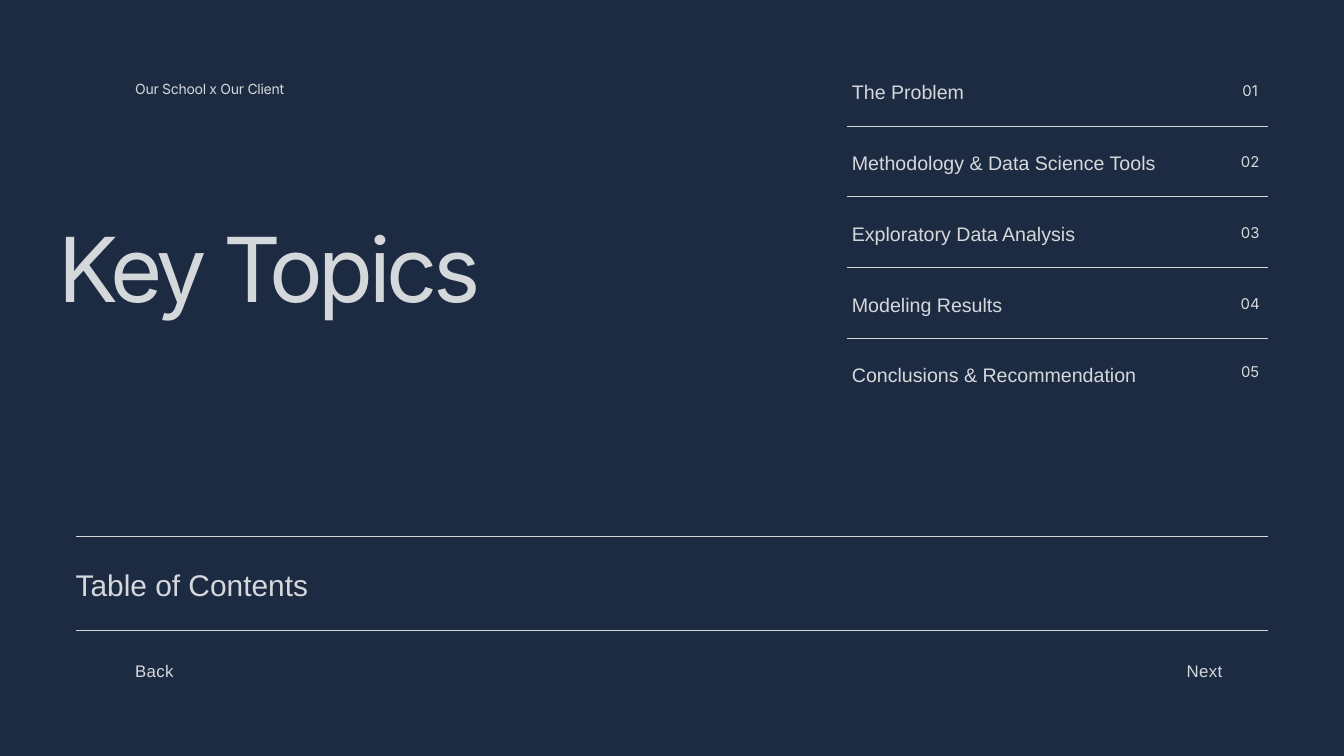
from lxml import etree
from pptx import Presentation
from pptx.dml.color import RGBColor
from pptx.enum import shapes, text
from pptx.oxml.ns import qn
from pptx.util import Cm, Pt

NAVY = RGBColor(0x1D, 0x2B, 0x42)
MIST = RGBColor(0xD5, 0xD8, 0xDB)
LEFT, CENTER, RIGHT = text.PP_ALIGN.LEFT, text.PP_ALIGN.CENTER, text.PP_ALIGN.RIGHT

TOPICS = ["The Problem", "Methodology & Data Science Tools",
          "Exploratory Data Analysis", "Modeling Results",
          "Conclusions & Recommendation"]
ROW_PITCH = 2.68


def place(sp, x, y, w, h):
    """Position a text shape in centimetres and clear its frame settings."""
    sp.left, sp.top, sp.width, sp.height = Cm(x), Cm(y), Cm(w), Cm(h)
    tf = sp.text_frame
    tf.word_wrap = True
    tf.auto_size = text.MSO_AUTO_SIZE.NONE
    tf.vertical_anchor = text.MSO_ANCHOR.TOP
    tf.margin_left = tf.margin_top = tf.margin_right = tf.margin_bottom = 0
    return tf


def write(p, words, size, leading, font="Arial", align=LEFT, tracking=0):
    p.alignment = align
    p.line_spacing = Pt(leading)
    p.space_before = Pt(0)
    r = p.add_run()
    r.text = words
    r.font.size, r.font.name = Pt(size), font
    r.font.color.rgb = MIST
    if tracking:
        r.font._element.set("spc", str(round(tracking * 100)))


def add_label(s, x, y, w, h, words, size, leading, **style):
    sp = s.shapes.add_textbox(0, 0, 0, 0)
    write(place(sp, x, y, w, h).paragraphs[0], words, size, leading, **style)


def add_rule(s, x, y, w):
    line = s.shapes.add_connector(shapes.MSO_CONNECTOR.STRAIGHT,
                                  Cm(x), Cm(y), Cm(x + w), Cm(y))
    line.line.color.rgb = MIST
    line.line.width = Pt(0.75)
    etree.SubElement(line._element.spPr, qn("a:effectLst"))


def add_heading(s, x, y, w):
    add_label(s, x + 2.25, y, 7.6, 0.69, "Our School x Our Client", 15, 21,
              font="Inter", tracking=-0.3)
    tf = place(s.shapes.title, x - 0.65, y + 5.61, w, 3.6)
    write(tf.paragraphs[0], "Key Topics", 96, 100.8, font="Inter", tracking=-4.8)


def add_topics(s, x, y, w):
    """List of topics with numbers at the right and rules between rows."""
    leading = 29.4
    tf = place(s.placeholders[1], x + 0.2, y, 11.79, ROW_PITCH * len(TOPICS))
    for i, topic in enumerate(TOPICS):
        last = i == len(TOPICS) - 1
        row = y + i * ROW_PITCH
        p = tf.add_paragraph() if i else tf.paragraphs[0]
        pPr = p._p.get_or_add_pPr()
        pPr.set("marL", "0")
        pPr.set("indent", "0")
        etree.SubElement(pPr, qn("a:buNone"))
        write(p, topic, 21, leading)
        if i:
            p.space_before = Pt(Cm(ROW_PITCH).pt - leading)
        add_label(s, x + w - 1.36, row + (0 if last else 0.11), 1.35, 0.71,
                  f"{i + 1:02}", 16, 22.4, font="Inter", align=CENTER)
        if not last:
            add_rule(s, x, row + 1.89, w)


def add_footer(s, x, y, w):
    add_rule(s, x, y, w)
    add_label(s, x, y + 0.93, 18.5, 1.55, "Table of Contents", 32, 44.8)
    add_rule(s, x, y + 3.56, w)
    link_w, inset = 10, 2.25
    add_label(s, x + inset, y + 4.56, link_w, 0.86, "Back", 18, 25.2,
              tracking=0.4)
    add_label(s, x + w - 1.74 - link_w, y + 4.56, link_w, 0.86, "Next", 18, 25.2,
              align=RIGHT, tracking=0.4)


def main():
    prs = Presentation()
    prs.slide_width, prs.slide_height = Cm(50.8), Cm(28.58)
    s = prs.slides.add_slide(prs.slide_layouts[1])
    s.background.fill.solid()
    s.background.fill.fore_color.rgb = NAVY
    add_heading(s, 2.86, 2.95, 21.92)
    add_topics(s, 32, 2.87, 15.94)
    add_footer(s, 2.86, 20.28, 45.08)
    prs.save("out.pptx")


if __name__ == "__main__":
    main()
